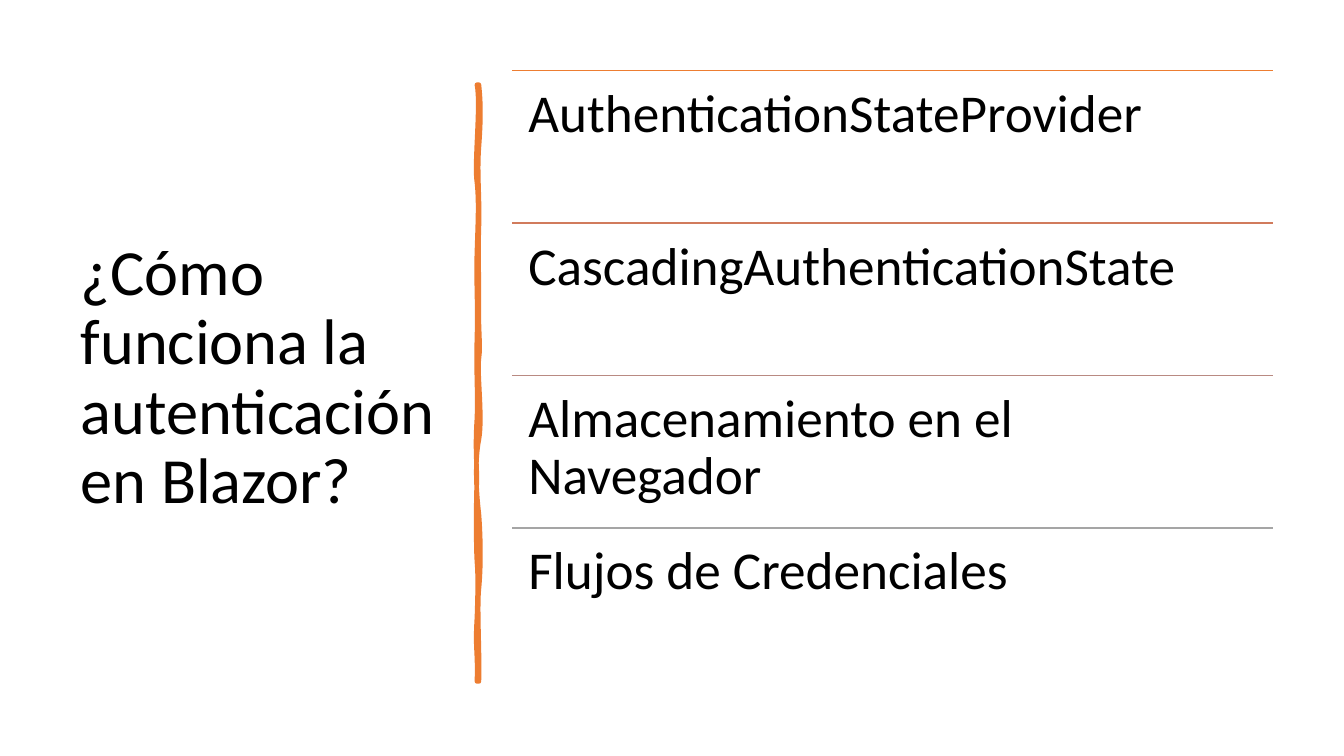
"""Slide on how authentication works in Blazor: title, brush stroke and ruled list."""
from lxml import etree
from pptx import Presentation
from pptx.dml.color import RGBColor
from pptx.enum.shapes import MSO_CONNECTOR
from pptx.enum.text import MSO_ANCHOR, MSO_AUTO_SIZE, PP_ALIGN
from pptx.oxml.ns import qn
from pptx.util import Inches, Pt

LINE = MSO_CONNECTOR.STRAIGHT
TOP, MIDDLE = MSO_ANCHOR.TOP, MSO_ANCHOR.MIDDLE
NO_FIT = MSO_AUTO_SIZE.NONE
LEFT = PP_ALIGN.LEFT

FONT = "Calibri"
COLORS = {"text": "000000", "brush": "ED7D31"}
TITLE = "¿Cómo funciona la autenticación en Blazor?"
TOPICS = [
    ("AuthenticationStateProvider", "ED7D31"),
    ("CascadingAuthenticationState", "D17B5C"),
    ("Almacenamiento en el Navegador", "B98A82"),
    ("Flujos de Credenciales", "A5A5A5"),
]
LIST_X, LIST_Y, LIST_W, LIST_H = 5.08, 0.7, 7.55, 6.05
ROW_H = LIST_H / len(TOPICS)

START = (4.75, 0.84)
CURVES = [
    (4.77, 1.02, 4.77, 1.19, 4.75, 1.46), (4.73, 1.73, 4.76, 1.95, 4.75, 2.26),
    (4.74, 2.57, 4.75, 2.62, 4.75, 2.94), (4.74, 3.25, 4.77, 3.42, 4.75, 3.56),
    (4.73, 3.7, 4.79, 4.14, 4.75, 4.36), (4.71, 4.57, 4.72, 4.84, 4.75, 5.1),
    (4.77, 5.36, 4.77, 5.64, 4.75, 5.84), (4.73, 6.03, 4.76, 6.5, 4.75, 6.76),
    (4.74, 6.76, 4.73, 6.76, 4.73, 6.76), (4.74, 6.46, 4.71, 6.44, 4.73, 6.13),
    (4.74, 5.83, 4.74, 5.7, 4.73, 5.57), (4.72, 5.44, 4.72, 4.95, 4.73, 4.77),
    (4.73, 4.59, 4.71, 4.45, 4.73, 4.15), (4.74, 3.86, 4.72, 3.73, 4.73, 3.35),
    (4.74, 2.98, 4.72, 2.81, 4.73, 2.5), (4.74, 2.18, 4.75, 2, 4.73, 1.81),
    (4.7, 1.63, 4.77, 1.04, 4.73, 0.84), (4.74, 0.84, 4.74, 0.84, 4.75, 0.84),
]


def color(code):
    return RGBColor.from_string(code)


def write(shape, text, size, anchor, inset):
    frame = shape.text_frame
    frame.text = text
    frame.word_wrap = True
    frame.auto_size = NO_FIT
    frame.vertical_anchor = anchor
    frame.margin_left = frame.margin_right = Inches(inset[0])
    frame.margin_top = frame.margin_bottom = Inches(inset[1])
    para = frame.paragraphs[0]
    para.alignment = LEFT
    para.line_spacing = 0.9
    font = para.runs[0].font
    font.name, font.size = FONT, Pt(size)
    font.color.rgb = color(COLORS["text"])


def turn(x, y):
    return Inches(y - START[1]), Inches(START[0] - x)


def bend(shape, curves):
    lines = list(shape._element.iter(qn("a:lnTo")))
    for line, curve in zip(lines, curves):
        line.tag
        arc = etree.Element(qn("a:cubicBezTo"))
        for i in (0, 2, 4):
            x, y = turn(*curve[i:i + 2])
            etree.SubElement(arc, qn("a:pt"), x=str(x), y=str(y))
        line.getparent().replace(line, arc)


deck = Presentation()
deck.slide_width, deck.slide_height = Inches(13.33), Inches(7.5)
slide = deck.slides.add_slide(deck.slide_layouts[5])
shapes = slide.shapes

title = shapes.title
title.left, title.top = Inches(0.7), Inches(0.7)
title.width, title.height = Inches(3.74), Inches(6.11)
write(title, TITLE, 46, MIDDLE, (0.1, 0.05))

pen = shapes.build_freeform(*turn(*START))
pen.add_line_segments([turn(*curve[4:]) for curve in CURVES], close=True)
brush = pen.convert_to_shape()
bend(brush, CURVES)
brush.left, brush.top = Inches(1.78), Inches(3.79)
brush.rotation = 90
brush.shadow.inherit = False
brush.fill.solid()
brush.fill.fore_color.rgb = color(COLORS["brush"])
brush.line.color.rgb = color(COLORS["brush"])
brush.line.width = Pt(3.25)

for row, (text, shade) in enumerate(TOPICS):
    x, y = Inches(LIST_X), Inches(LIST_Y + row * ROW_H)
    wide = Inches(LIST_W)
    rule = shapes.add_connector(LINE, x, y, x + wide, y)
    rule.line.color.rgb = color(shade)
    rule.line.width = Pt(1)
    etree.SubElement(rule._element.spPr, qn("a:effectLst"))
    box = shapes.add_textbox(x, y, wide, Inches(ROW_H))
    write(box, text, 38, TOP, (0.16, 0.16))

deck.save("out.pptx")
